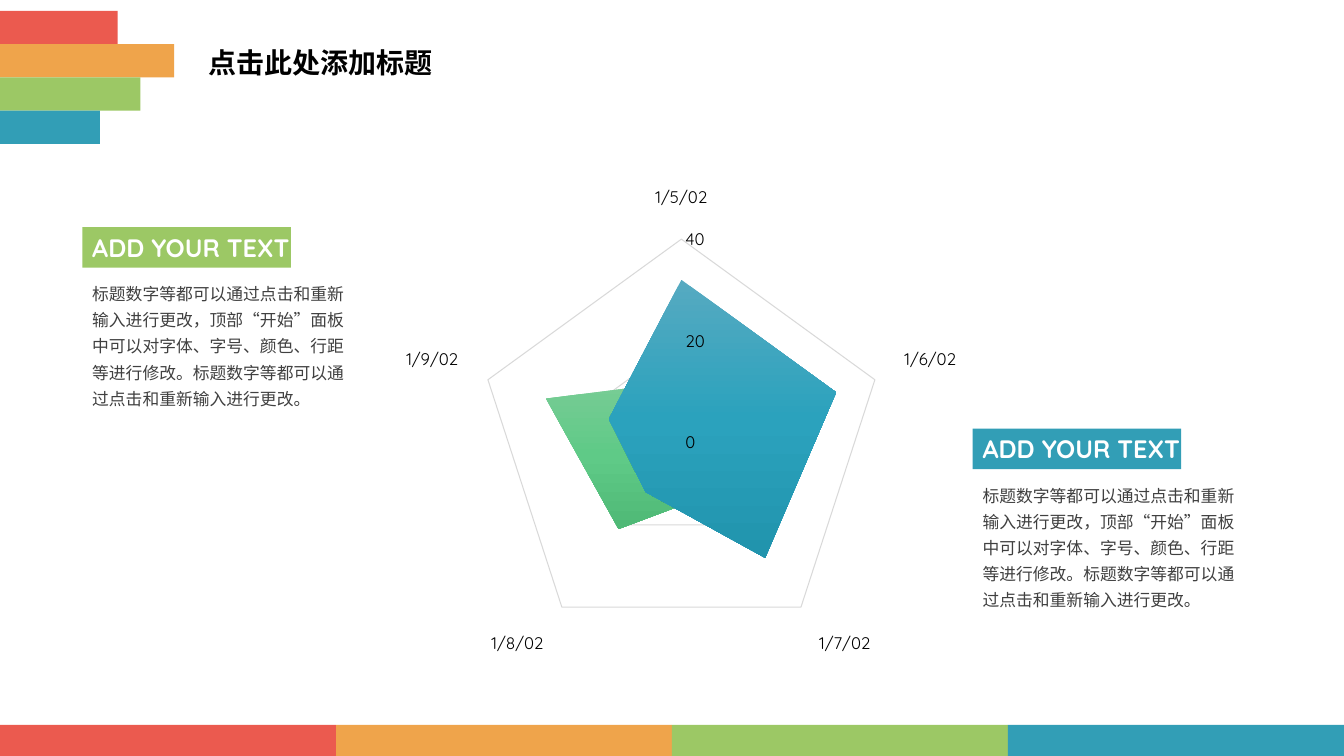
"""Build a slide with a filled radar chart between two captioned notes."""
from lxml import etree
from pptx import Presentation
from pptx.chart.data import CategoryChartData
from pptx.dml.color import RGBColor
from pptx.enum.chart import XL_CHART_TYPE, XL_TICK_MARK
from pptx.enum.shapes import MSO_SHAPE
from pptx.enum.text import MSO_ANCHOR, PP_ALIGN
from pptx.oxml.ns import qn
from pptx.util import Pt

RECT = MSO_SHAPE.RECTANGLE
RADAR = XL_CHART_TYPE.RADAR_FILLED
NO_TICK = XL_TICK_MARK.NONE
TOP, MIDDLE = MSO_ANCHOR.TOP, MSO_ANCHOR.MIDDLE
LEFT = PP_ALIGN.LEFT

RED, AMBER, GREEN, BLUE = "EB5A4F", "EFA44B", "9CC865", "329EB6"
COLORS = (RED, AMBER, GREEN, BLUE)
HAN, LATIN = "Noto Sans CJK SC", "Quicksand"
NOTE = ("标题数字等都可以通过点击和重新输入进行更改，顶部“开始”面板中可以对字体、"
        "字号、颜色、行距等进行修改。标题数字等都可以通过点击和重新输入进行更改。")
DAYS = range(37261, 37266)
SERIES = (
    ("Series 1", (32, 32, 28, 12, 15), ("56AAC1", "2BA2BD", "2194AD")),
    ("Series 2", (12, 12, 12, 21, 28), ("78CC95", "5FCA87", "4FB976")),
)


def rgb(code):
    return RGBColor.from_string(code)


def write(shape, text, size=12, font=HAN, color="404040", bold=False,
          space=1.0, anchor=TOP, wrap=True):
    frame = shape.text_frame
    frame.word_wrap = wrap
    frame.vertical_anchor = anchor
    para = frame.paragraphs[0]
    para.alignment = LEFT
    para.line_spacing = space
    run = para.add_run()
    run.text = text
    run.font.size = Pt(size)
    run.font.name = font
    run.font.bold = bold
    run.font.color.rgb = rgb(color)
    east = etree.SubElement(run.font._element, qn("a:ea"))
    east.set("typeface", font)


def blend(series, codes):
    fill = series.format.fill
    fill.gradient()
    fill.gradient_angle = 270
    stops = series._element.spPr.find(".//" + qn("a:gsLst"))
    for stop in list(stops):
        stops.remove(stop)
    for place, code in enumerate(codes):
        stop = etree.SubElement(stops, qn("a:gs"), pos=str(place * 50000))
        etree.SubElement(stop, qn("a:srgbClr"), val=code)


class Deck:
    def __init__(self, wide, high, ink="000000", grid="D9D9D9"):
        self.show = Presentation()
        self.show.slide_width, self.show.slide_height = Pt(wide), Pt(high)
        self.slide = self.show.slides.add_slide(self.show.slide_layouts[6])
        self.ink, self.grid = ink, grid

    def bar(self, x, y, w, h, color):
        bar = self.slide.shapes.add_shape(RECT, Pt(x), Pt(y), Pt(w), Pt(h))
        bar.shadow.inherit = False
        bar.fill.solid()
        bar.fill.fore_color.rgb = rgb(color)
        bar.line.fill.background()
        return bar

    def text(self, x, y, w, h, words, **style):
        box = self.slide.shapes.add_textbox(Pt(x), Pt(y), Pt(w), Pt(h))
        write(box, words, **style)

    def note(self, x, y, color):
        head = self.bar(x, y, 149, 29, color)
        write(head, "ADD YOUR TEXT", size=18, font=LATIN, color="FFFFFF",
              bold=True, wrap=False)
        self.text(x, y + 32.6, 199.5, 101.5, NOTE, space=1.3)

    def radar(self, x, y, w, h):
        data = CategoryChartData()
        data.categories = DAYS
        data.categories.number_format = "m/d/yyyy"
        for name, values, _ in SERIES:
            data.add_series(name, values)
        chart = self.slide.shapes.add_chart(
            RADAR, Pt(x), Pt(y), Pt(w), Pt(h), data).chart
        chart.has_legend = chart.has_title = False
        chart.font.size = Pt(10)
        chart.font.name = LATIN
        chart.font.color.rgb = rgb(self.ink)
        plot = chart.plots[0]
        plot.vary_by_categories = False
        for series, (_, _, codes) in zip(plot.series, SERIES):
            blend(series, codes)
            series.format.line.fill.background()
        days, scale = chart.category_axis, chart.value_axis
        for axis in (days, scale):
            axis.major_tick_mark = axis.minor_tick_mark = NO_TICK
            font = axis.tick_labels.font
            font.size = Pt(12)
            font.name = LATIN
            font.color.rgb = rgb(self.ink)
        days.has_major_gridlines = False
        scale.has_major_gridlines = True
        scale.minimum_scale, scale.maximum_scale = 0, 40
        scale.major_unit = 20
        scale.format.line.fill.background()
        for line in (days.format.line, scale.major_gridlines.format.line):
            line.color.rgb = rgb(self.grid)
            line.width = Pt(0.75)


def main():
    deck = Deck(960, 540)
    for row, (wide, color) in enumerate(zip((84, 124.4, 100.3, 71.3), COLORS)):
        deck.bar(0, 7.7 + row * 23.8, wide, 23.8, color)
    for col, color in enumerate(COLORS):
        deck.bar(col * 240, 517.8, 240, 22.2, color)
    deck.text(141.8, 25.2, 351.4, 41.8, "点击此处添加标题", size=20,
              color=deck.ink, bold=True, space=0.9, anchor=MIDDLE)
    deck.radar(226, 126.7, 521.3, 347)
    deck.note(694.8, 306.2, BLUE)
    deck.note(58.8, 162.2, GREEN)
    deck.show.save("out.pptx")


if __name__ == "__main__":
    main()
